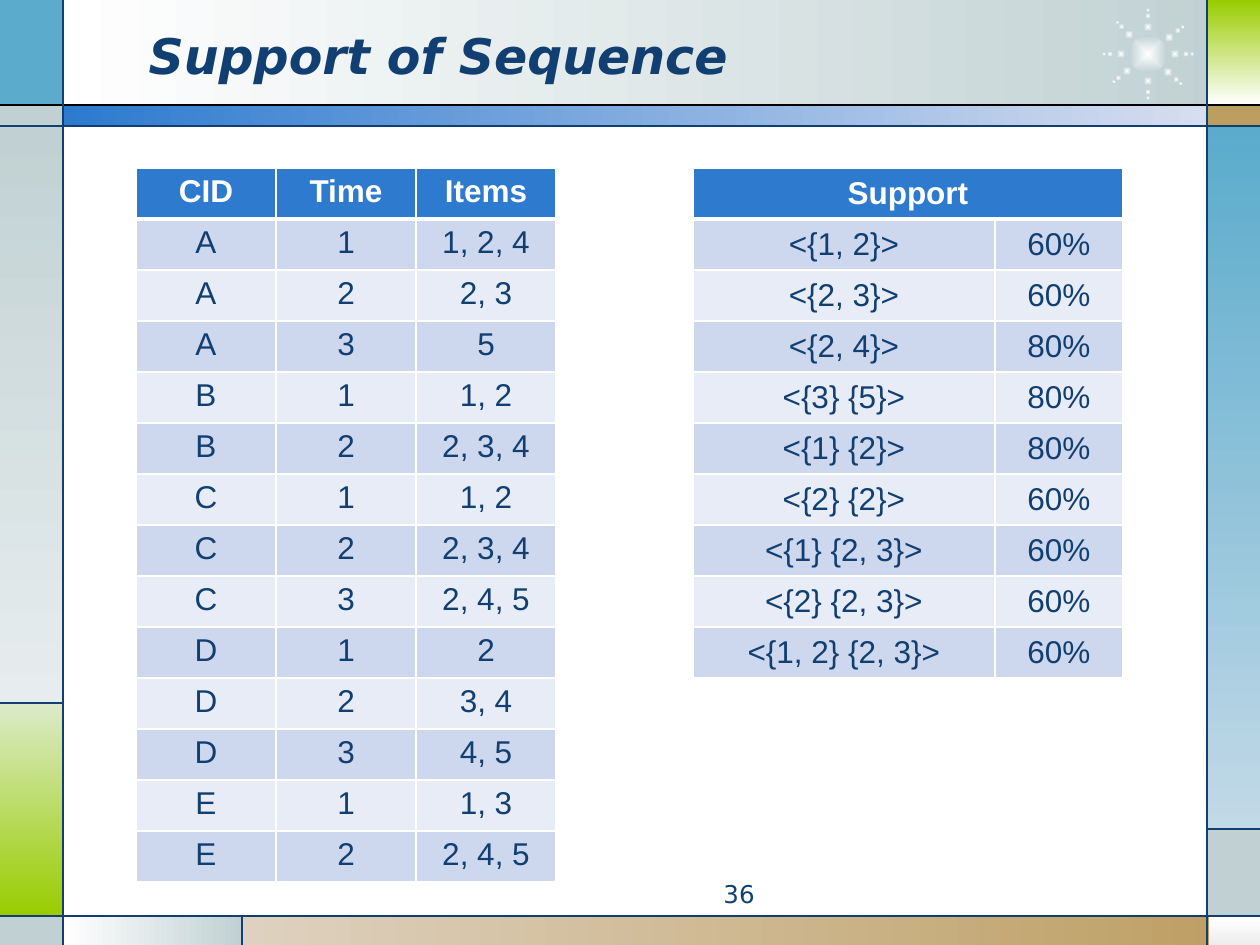
import math

from lxml import etree
from pptx import Presentation
from pptx.dml.color import RGBColor
from pptx.enum.shapes import MSO_CONNECTOR, MSO_SHAPE
from pptx.enum.text import MSO_ANCHOR, PP_ALIGN
from pptx.oxml import parse_xml
from pptx.oxml.ns import nsdecls, qn
from pptx.util import Pt

RECTANGLE, OVAL = MSO_SHAPE.RECTANGLE, MSO_SHAPE.OVAL
STRAIGHT = MSO_CONNECTOR.STRAIGHT
LEFT, CENTER, RIGHT = PP_ALIGN.LEFT, PP_ALIGN.CENTER, PP_ALIGN.RIGHT
TOP, MIDDLE = MSO_ANCHOR.TOP, MSO_ANCHOR.MIDDLE

PX = 914400 / 126
WIDTH, HEIGHT = 1260, 945
ACROSS, DOWN = 0, 270  # gradient directions, counter-clockwise degrees

COLORS = {
    "white": "FFFFFF", "black": "000000", "navy": "113F71", "blue": "2D7ACF",
    "pale_blue": "D7DEF0", "teal": "5AABCC", "pale_teal": "C2D9E7",
    "grey": "C1D1D3", "pale_grey": "E7EDEE", "mist": "EDEDED",
    "lime": "99CC00", "pale_lime": "DBEBC9", "tan": "BD9E61",
    "pale_tan": "DED1BF", "band_dark": "CDD7ED", "band_light": "E8ECF6",
}

# Frame edges
SIDE, EDGE = 63, 1207
HEADER, STRIPE, FOOTER = 105, 126, 916
LIME_TOP, GREY_TOP, TAN_LEFT = 703, 829, 242

# Panels as (left, top, right, bottom), fill colours, gradient direction
PANELS = [
    ((SIDE, 0, 1231, HEADER), ("white", "grey"), ACROSS),
    ((0, 0, SIDE, HEADER), ("teal",), None),
    ((0, HEADER, SIDE, STRIPE), ("grey",), None),
    ((0, STRIPE, SIDE, LIME_TOP), ("grey", "pale_grey"), DOWN),
    ((0, LIME_TOP, SIDE, FOOTER), ("pale_lime", "lime"), DOWN),
    ((0, FOOTER, SIDE, HEIGHT), ("grey",), None),
    ((SIDE, FOOTER, TAN_LEFT, HEIGHT), ("white", "grey"), ACROSS),
    ((TAN_LEFT, FOOTER, WIDTH, HEIGHT), ("pale_tan", "tan"), ACROSS),
    ((EDGE + 2, FOOTER, WIDTH, HEIGHT), ("white", "mist"), DOWN),
    ((EDGE, GREY_TOP, WIDTH, FOOTER), ("grey",), None),
    ((EDGE, STRIPE, WIDTH, GREY_TOP), ("teal", "pale_teal"), DOWN),
    ((EDGE, HEADER, WIDTH, STRIPE), ("tan",), None),
    ((EDGE, 0, WIDTH, HEADER), ("lime", "white"), DOWN),
    ((SIDE, HEADER, EDGE, STRIPE), ("blue", "pale_blue"), ACROSS),
]
RULES = [
    ((0, HEADER, WIDTH, HEADER), "black"),
    ((0, STRIPE, WIDTH, STRIPE), "navy"),
    ((0, FOOTER, WIDTH, FOOTER), "navy"),
    ((SIDE, 0, SIDE, HEIGHT), "navy"),
    ((EDGE, 0, EDGE, HEIGHT), "navy"),
    ((SIDE, LIME_TOP, 0, LIME_TOP), "navy"),
    ((TAN_LEFT, FOOTER, TAN_LEFT, HEIGHT), "navy"),
    ((EDGE, GREY_TOP, WIDTH, GREY_TOP), "navy"),
]
BURST_ANGLES = [42, 0, 322, 90, 270, 226, 180, 141]
BURST_DOTS = [(38, 6), (44, 4), (27, 9)]  # distance from centre, diameter

PURCHASES = [
    ("CID", "Time", "Items"),
    ("A", "1", "1, 2, 4"), ("A", "2", "2, 3"), ("A", "3", "5"),
    ("B", "1", "1, 2"), ("B", "2", "2, 3, 4"),
    ("C", "1", "1, 2"), ("C", "2", "2, 3, 4"), ("C", "3", "2, 4, 5"),
    ("D", "1", "2"), ("D", "2", "3, 4"), ("D", "3", "4, 5"),
    ("E", "1", "1, 3"), ("E", "2", "2, 4, 5"),
]
SUPPORT = [
    ("Support", ""),
    ("<{1, 2}>", "60%"), ("<{2, 3}>", "60%"), ("<{2, 4}>", "80%"),
    ("<{3} {5}>", "80%"), ("<{1} {2}>", "80%"), ("<{2} {2}>", "60%"),
    ("<{1} {2, 3}>", "60%"), ("<{2} {2, 3}>", "60%"),
    ("<{1, 2} {2, 3}>", "60%"),
]


def emu(*lengths):
    return [round(length * PX) for length in lengths]


def rgb(name):
    return RGBColor.from_string(COLORS[name])


def paint(fill, names, angle=None):
    if len(names) == 1:
        fill.solid()
        fill.fore_color.rgb = rgb(names[0])
        return
    fill.gradient()
    for stop, name in zip(fill.gradient_stops, names):
        stop.color.rgb = rgb(name)
    if angle is not None:
        fill.gradient_angle = angle


def add_plain(page, kind, box, names, angle=None):
    shape = page.shapes.add_shape(kind, *emu(*box))
    shape.shadow.inherit = False
    shape.line.fill.background()
    paint(shape.fill, names, angle)
    return shape


def write(frame, text, size, font, color, align, bold=None, italic=None):
    para = frame.paragraphs[0]
    para.text = text
    para.alignment = align
    para.font.size, para.font.name = Pt(size), font
    para.font.bold, para.font.italic = bold, italic
    para.font.color.rgb = rgb(color)


def add_frame(page):
    for (left, top, right, bottom), names, angle in PANELS:
        add_plain(page, RECTANGLE, (left, top, right - left, bottom - top), names, angle)


def add_rules(page):
    for ends, color in RULES:
        rule = page.shapes.add_connector(STRAIGHT, *emu(*ends))
        rule.line.width = Pt(0.75)
        rule.line.color.rgb = rgb(color)
        etree.SubElement(rule.element.spPr, qn("a:effectLst"))


def add_glow(page, x, y, diameter):
    box = (x - diameter / 2, y - diameter / 2, diameter, diameter)
    glow = add_plain(page, OVAL, box, ("white", "grey"))
    linear = glow.element.spPr.find(".//" + qn("a:lin"))
    radial = parse_xml(
        f'<a:path {nsdecls("a")} path="shape">'
        '<a:fillToRect l="50000" t="50000" r="50000" b="50000"/></a:path>')
    linear.getparent().replace(linear, radial)


def add_burst(page, x, y):
    add_glow(page, x, y, 38)
    for angle in map(math.radians, BURST_ANGLES):
        for distance, diameter in BURST_DOTS:
            add_glow(page, x + distance * math.cos(angle),
                     y + distance * math.sin(angle), diameter)


def add_title(page, box, text):
    title = page.shapes.title
    title.left, title.top, title.width, title.height = emu(*box)
    title.text_frame.vertical_anchor = MIDDLE
    write(title.text_frame, text, 28, "DejaVu Sans", "navy", LEFT, True, True)
    page.shapes.element.append(title.element)  # in front of the frame


def add_page_number(page, box, text):
    frame = page.shapes.add_textbox(*emu(*box)).text_frame
    frame.word_wrap = True
    write(frame, text, 14, "DejaVu Sans", "navy", RIGHT)


def add_borders(cell, top, bottom):
    properties = cell._tc.get_or_add_tcPr()
    for side, width in (("L", 1), ("R", 1), ("T", top), ("B", bottom)):
        properties.append(parse_xml(
            f'<a:ln{side} {nsdecls("a")} w="{Pt(width)}"><a:solidFill>'
            f'<a:srgbClr val="{COLORS["white"]}"/></a:solidFill></a:ln{side}>'))


def add_grid(page, left, top, widths, rows, anchor):
    row_height = 51
    box = (left, top, sum(widths), row_height * len(rows))
    table = page.shapes.add_table(len(rows), len(widths), *emu(*box)).table
    table.horz_banding = False
    for column, width in zip(table.columns, emu(*widths)):
        column.width = width
    for index, values in enumerate(rows):
        table.rows[index].height = emu(row_height)[0]
        header = index == 0
        band = "blue" if header else ("band_light", "band_dark")[index % 2]
        for cell, text in zip(table.rows[index].cells, values):
            add_borders(cell, 3 if index == 1 else 1, 3 if header else 1)
            paint(cell.fill, (band,))
            cell.vertical_anchor = anchor
            write(cell.text_frame, text, 18, "Arial",
                  "white" if header else "navy", CENTER, header)
    return table


def main():
    deck = Presentation()
    deck.slide_width, deck.slide_height = emu(WIDTH, HEIGHT)
    page = deck.slides.add_slide(deck.slide_layouts[5])
    # Decorative frame
    add_frame(page)
    add_burst(page, 1148, 54)
    add_rules(page)
    # Texts
    add_title(page, (136, 16, 924, 78), "Support of Sequence")
    add_page_number(page, (473, 873, 294, 34), "36")
    # Tables
    add_grid(page, 136, 168, (140, 140, 140), PURCHASES, TOP)
    support = add_grid(page, 693, 168, (302, 128), SUPPORT, MIDDLE)
    support.cell(0, 0).merge(support.cell(0, 1))
    deck.save("out.pptx")


if __name__ == "__main__":
    main()
